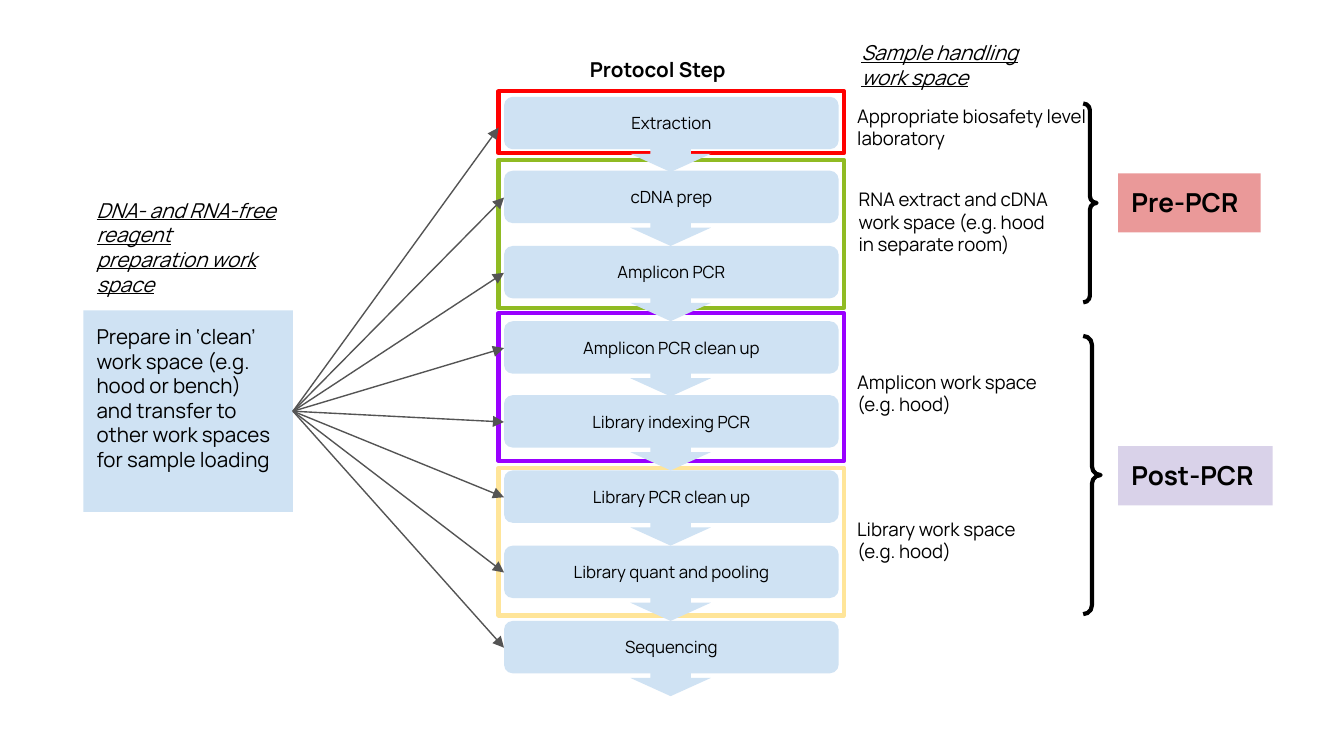
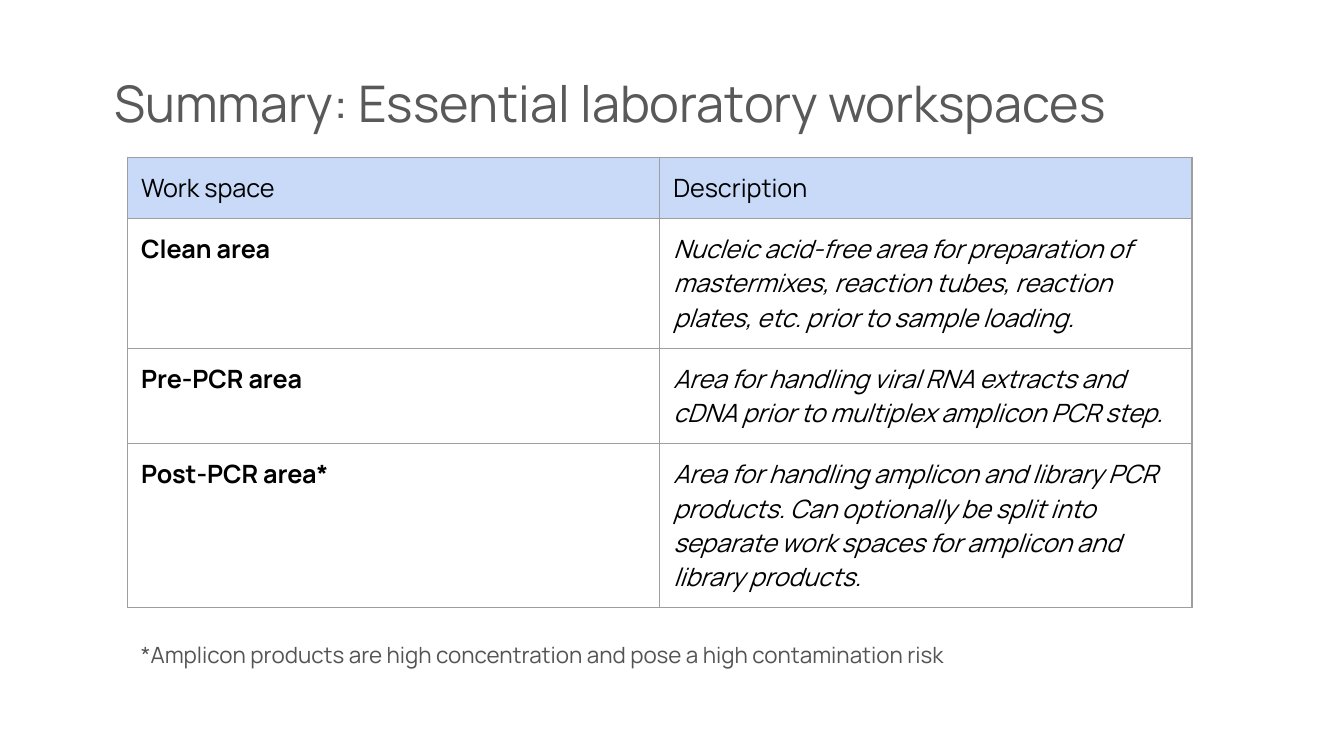
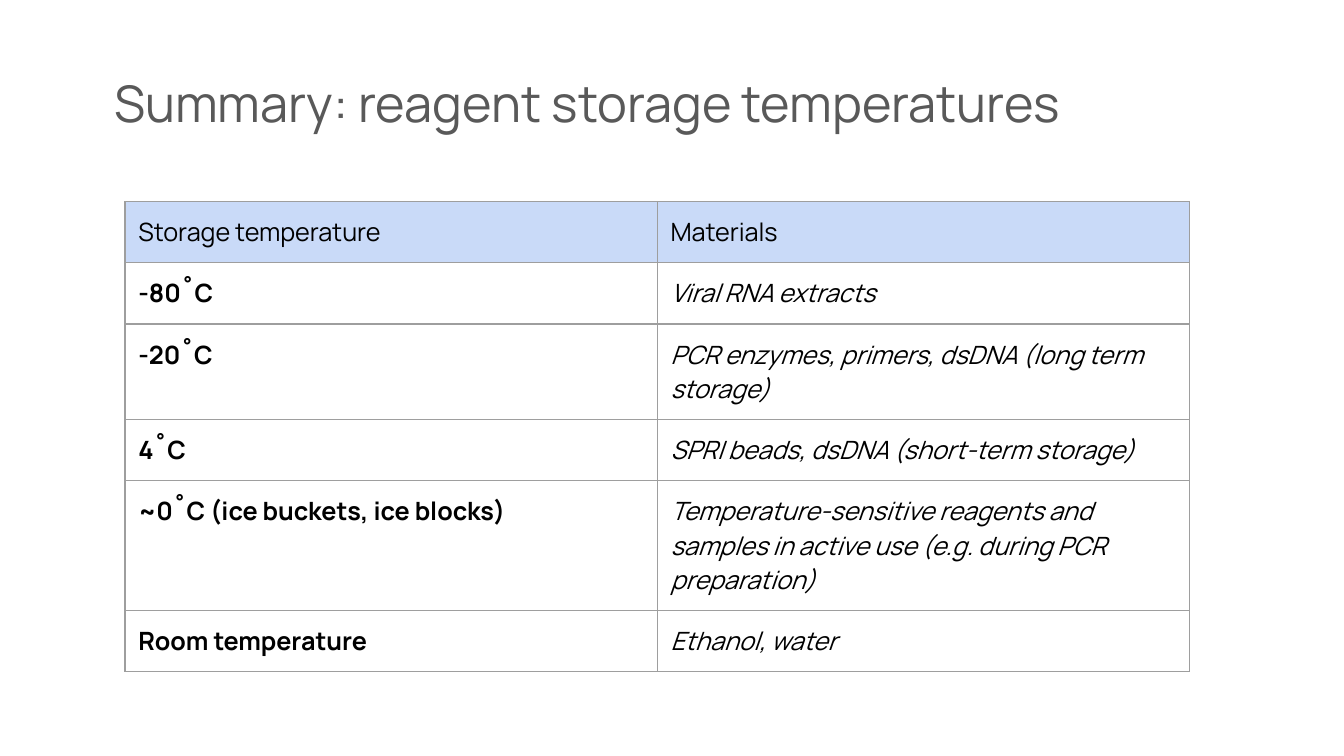
from lxml import etree
from pptx import Presentation
from pptx.dml.color import RGBColor
from pptx.enum.shapes import MSO_CONNECTOR as Connector, MSO_SHAPE as Shape
from pptx.enum.text import MSO_ANCHOR as Anchor, PP_ALIGN as Align
from pptx.oxml import parse_xml
from pptx.oxml.ns import nsdecls, qn
from pptx.util import Pt

PX = 9144  # 100 px to the inch
FONT = "Manrope"
COLORS = {
    "black": "000000", "title": "595959", "grey": "545454", "border": "9E9E9E",
    "header": "C9DAF8", "step": "CFE2F3", "pre": "EA9999", "post": "D9D2E9",
    "red": "FF0000", "green": "90BB23", "purple": "9900FF", "yellow": "FFE599",
}


def style_text(frame, text, size, color="black", bold=False, italic=False,
               underline=False, inset_y=10):
    frame.text = text
    frame.word_wrap = True
    frame.margin_left = frame.margin_right = 10 * PX
    frame.margin_top = frame.margin_bottom = inset_y * PX
    paragraph = frame.paragraphs[0]
    paragraph.alignment = Align.LEFT
    font = paragraph.runs[0].font
    font.name, font.size = FONT, Pt(size)
    font.bold, font.italic, font.underline = bold, italic, underline
    font.color.rgb = RGBColor.from_string(COLORS[color])


def add_box(shapes, kind, bounds, fill=None, line=None):
    """Add a preset shape with an optional fill and a 2.25 pt outline."""
    shape = shapes.add_shape(kind, *(value * PX for value in bounds))
    shape.shadow.inherit = False
    if fill:
        shape.fill.solid()
        shape.fill.fore_color.rgb = RGBColor.from_string(COLORS[fill])
    else:
        shape.fill.background()
    if line:
        shape.line.color.rgb = RGBColor.from_string(COLORS[line])
        shape.line.width = Pt(2.25)
    else:
        shape.line.fill.background()
    return shape


presentation = Presentation()
presentation.slide_width = 1000 * PX
presentation.slide_height = 1000 * PX * 9 // 16
title_only, blank = presentation.slide_layouts[5], presentation.slide_layouts[6]

# Slide 1: protocol steps and the work space of each
slide = presentation.slides.add_slide(blank)
shapes = slide.shapes

for text, bounds, fill in [
    ("Pre-PCR", (832, 129, 106, 44), "pre"),
    ("Post-PCR", (832, 332, 115, 44), "post"),
    ("Prepare in ‘clean’ work space (e.g. hood or bench) and transfer to "
     "other work spaces for sample loading", (62, 231, 156, 150), "step"),
]:
    box = add_box(shapes, Shape.RECTANGLE, bounds, fill)
    is_stage = fill != "step"
    style_text(box.text_frame, text, 14 if is_stage else 11, bold=is_stage)
    box.text_frame.vertical_anchor = Anchor.TOP

for bounds in [(806, 77, 10, 148), (806, 250, 13, 207)]:
    brace = add_box(shapes, Shape.RIGHT_BRACE, bounds, line="black")
    brace.adjustments[0] = brace.adjustments[1] = 0.5

for top, height, color in [(119, 110, "green"), (233, 110, "purple"),
                           (348, 110, "yellow"), (68, 46, "red")]:
    add_box(shapes, Shape.RECTANGLE, (371, top, 257, height), line=color)

heading = {"size": 11, "italic": True, "underline": True}
note = {"size": 10}
for text, bounds, style in [
    ("Protocol Step", (429, 33, 140, 39), {"size": 11, "bold": True}),
    ("DNA- and RNA-free reagent preparation work space", (62, 137, 156, 94), heading),
    ("Sample handling work space", (631, 20, 172, 57), heading),
    ("Appropriate biosafety level laboratory", (628, 68, 206, 54), note),
    ("RNA extract and cDNA work space (e.g. hood in separate room)",
     (629, 130, 172, 88), note),
    ("Amplicon work space (e.g. hood)", (628, 266, 165, 54), note),
    ("Library work space (e.g. hood)", (628, 375, 165, 54), note),
]:
    label = shapes.add_textbox(*(value * PX for value in bounds))
    style_text(label.text_frame, text, **style)

steps = ["Extraction", "cDNA prep", "Amplicon PCR", "Amplicon PCR clean up",
         "Library indexing PCR", "Library PCR clean up",
         "Library quant and pooling", "Sequencing"]
step_tops = [72 + 390 * index // 7 for index in range(len(steps))]
for text, top in zip(steps, step_tops):
    group = shapes.add_group_shape()
    step = add_box(group.shapes, Shape.ROUNDED_RECTANGLE, (375, top, 249, 39), "step")
    step.adjustments[0] = 0.167
    style_text(step.text_frame, text, 9)
    step.text_frame.vertical_anchor = Anchor.MIDDLE
    step.text_frame.paragraphs[0].alignment = Align.CENTER
    arrow = add_box(group.shapes, Shape.DOWN_ARROW, (469, top + 38, 60, 18), "step")
    arrow.adjustments[0], arrow.adjustments[1] = 0.5, 0.753

arrow_ends = [(371, 95)] + [(375, top + 20) for top in step_tops[1:]]
for end_x, end_y in arrow_ends:
    connector = shapes.add_connector(Connector.STRAIGHT, 218 * PX, 306 * PX,
                                     end_x * PX, end_y * PX)
    connector.line.color.rgb = RGBColor.from_string(COLORS["grey"])
    connector.line.width = Pt(0.75)
    properties = connector._element.spPr
    etree.SubElement(properties.find(qn("a:ln")), qn("a:tailEnd"), type="triangle")
    etree.SubElement(properties, qn("a:effectLst"))

# Slides 2 and 3: a title over a two-column table
summaries = [
    ("Summary: Essential laboratory workspaces", (95, 117), [
        ("Work space", "Description"),
        ("Clean area", "Nucleic acid-free area for preparation of mastermixes, "
         "reaction tubes, reaction plates, etc. prior to sample loading."),
        ("Pre-PCR area", "Area for handling viral RNA extracts and cDNA prior to "
         "multiplex amplicon PCR step."),
        ("Post-PCR area*", "Area for handling amplicon and library PCR products. "
         "Can optionally be split into separate work spaces for amplicon and "
         "library products."),
    ], "*Amplicon products are high concentration and pose a high contamination risk"),
    ("Summary: reagent storage temperatures", (93, 150), [
        ("Storage temperature", "Materials"),
        ("-80˚C", "Viral RNA extracts"),
        ("-20˚C", "PCR enzymes, primers, dsDNA (long term storage)"),
        ("4˚C", "SPRI beads, dsDNA (short-term storage)"),
        ("~0˚C (ice buckets, ice blocks)", "Temperature-sensitive reagents and "
         "samples in active use (e.g. during PCR preparation)"),
        ("Room temperature", "Ethanol, water"),
    ], None),
]
for title_text, (left, top), rows, footnote in summaries:
    slide = presentation.slides.add_slide(title_only)
    title = slide.shapes.title
    title.left, title.top, title.width, title.height = (
        value * PX for value in (75, 32, 856, 72))
    style_text(title.text_frame, title_text, 27, "title", inset_y=5)
    title.text_frame.vertical_anchor = Anchor.BOTTOM
    title.text_frame.paragraphs[0].line_spacing = 0.9

    table = slide.shapes.add_table(len(rows), 2, left * PX, top * PX,
                                   792 * PX, 42 * len(rows) * PX).table
    table.first_row = table.horz_banding = False
    for row_index, row in enumerate(rows):
        for column_index, text in enumerate(row):
            cell = table.cell(row_index, column_index)
            is_header = row_index == 0
            style_text(cell.text_frame, text, 13.5,
                       bold=not is_header and column_index == 0,
                       italic=not is_header and column_index == 1)
            cell.margin_left = cell.margin_right = 10 * PX
            cell.margin_top = cell.margin_bottom = 10 * PX
            if is_header:
                cell.fill.solid()
                cell.fill.fore_color.rgb = RGBColor.from_string(COLORS["header"])
            else:
                cell.fill.background()
            cell_properties = cell._tc.get_or_add_tcPr()
            for position, side in enumerate("LRTB"):
                cell_properties.insert(position, parse_xml(
                    f'<a:ln{side} {nsdecls("a")} w="{Pt(0.75)}"><a:solidFill>'
                    f'<a:srgbClr val="{COLORS["border"]}"/></a:solidFill></a:ln{side}>'))

    if footnote:
        label = slide.shapes.add_textbox(95 * PX, 467 * PX, 733 * PX, 40 * PX)
        style_text(label.text_frame, footnote, 12, "grey")

presentation.save("out.pptx")
